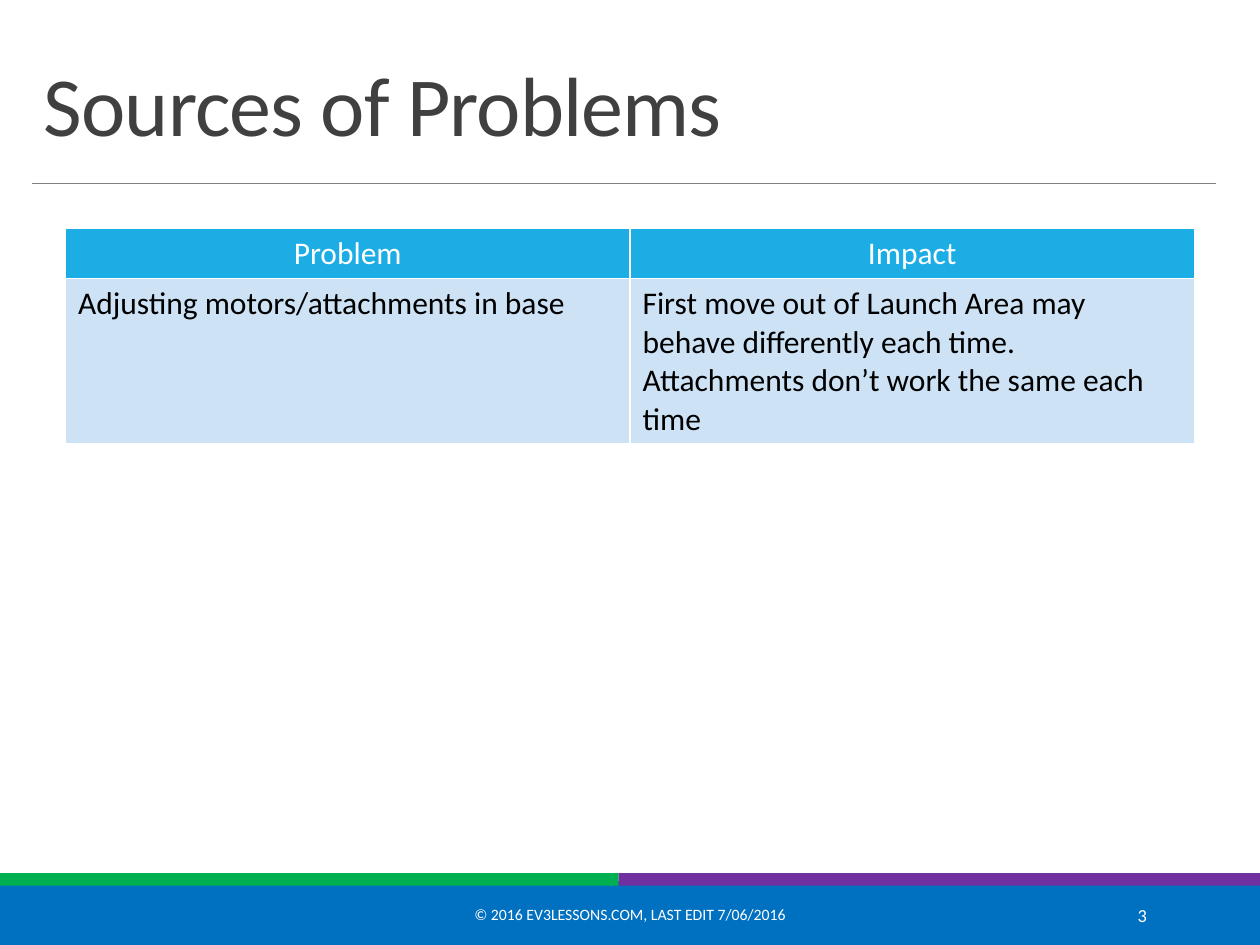
from lxml.etree import SubElement as Sub
from pptx import Presentation
from pptx.dml.color import RGBColor as RGB
from pptx.enum.shapes import MSO_CONNECTOR as Conn, MSO_SHAPE as Shape
from pptx.enum.text import MSO_ANCHOR as Anchor, PP_ALIGN as Align
from pptx.oxml.ns import qn
from pptx.util import Inches, Pt

FONT = "Calibri"
COLORS = {
    "blue": "0070C0", "green": "00B050", "purple": "7030A0",
    "rule": "808080", "title": "404040", "head": "1CADE4",
    "body": "CDE3F5", "white": "FFFFFF", "black": "000000",
}
ROWS = [
    ("Problem", "Impact"),
    ("Adjusting motors/attachments in base",
     "First move out of Launch Area may behave differently each time.\n"
     "Attachments don’t work the same each time"),
]


def color(name):
    return RGB.from_string(COLORS[name])


def write(frame, text, size=18, tint="black", align=Align.LEFT,
          lead=None, track=None):
    frame.word_wrap = True
    frame.text = text
    for para in frame.paragraphs:
        para.alignment = align
        if lead:
            para.line_spacing = lead
        for run in para.runs:
            font = run.font
            font.name, font.size = FONT, Pt(size)
            font.color.rgb = color(tint)
            if track:
                font._element.set("spc", str(int(track * 100)))


def add_text(slide, box, text, anchor=Anchor.MIDDLE, **style):
    frame = slide.shapes.add_textbox(*map(Inches, box)).text_frame
    frame.vertical_anchor = anchor
    write(frame, text, **style)


def add_bar(slide, box, tint, edge=False):
    bar = slide.shapes.add_shape(Shape.RECTANGLE, *map(Inches, box))
    bar.shadow.inherit = False
    bar.fill.solid()
    bar.fill.fore_color.rgb = color(tint)
    if edge:
        bar.line.color.rgb = color(tint)
        bar.line.width = Pt(1.25)
    else:
        bar.line.fill.background()


def add_rule(slide, left, right, top):
    ends = map(Inches, (left, top, right, top))
    rule = slide.shapes.add_connector(Conn.STRAIGHT, *ends)
    rule.line.color.rgb = color("rule")
    rule.line.width = Pt(0.5)
    Sub(rule._element.spPr, qn("a:effectLst"))


def add_edges(cell, tint, width):
    props = cell._tc.get_or_add_tcPr()
    for side in "LRTB":
        line = Sub(props, qn(f"a:ln{side}"), w=str(Pt(width)))
        fill = Sub(line, qn("a:solidFill"))
        Sub(fill, qn("a:srgbClr"), val=COLORS[tint])


def add_grid(slide, box, rows, heights):
    table = slide.shapes.add_table(
        len(rows), len(rows[0]), *map(Inches, box)).table
    for r, row in enumerate(rows):
        table.rows[r].height = Inches(heights[r])
        fill, tint, align = (("body", "black", Align.LEFT) if r
                             else ("head", "white", Align.CENTER))
        for c, text in enumerate(row):
            cell = table.cell(r, c)
            add_edges(cell, "white", 1)
            cell.fill.solid()
            cell.fill.fore_color.rgb = color(fill)
            write(cell.text_frame, text, tint=tint, align=align)


def main():
    deck = Presentation()
    deck.slide_width, deck.slide_height = Inches(10), Inches(7.5)
    slide = deck.slides.add_slide(deck.slide_layouts[6])

    split = 4.91
    add_bar(slide, (0, 7, 10, 0.5), "blue", edge=True)
    add_bar(slide, (0, 6.93, split, 0.1), "green")
    add_rule(slide, 0.25, 9.65, 1.46)
    add_bar(slide, (split, 6.93, 10 - split, 0.1), "purple")

    add_text(slide, (0.25, 0.31, 9.4, 0.96), "Sources of Problems",
             anchor=Anchor.BOTTOM, size=48, tint="title", lead=0.85,
             track=-0.5)
    add_grid(slide, (0.52, 1.81, 8.96, 1.71), ROWS, (0.4, 1.31))
    add_text(slide, (3.02, 7.06, 3.96, 0.4),
             "© 2016 EV3LESSONS.COM, LAST EDIT 7/06/2016",
             size=9, tint="white", align=Align.CENTER)
    add_text(slide, (8.12, 7.06, 1.08, 0.4), "3",
             size=10.5, tint="white", align=Align.RIGHT)
    deck.save("out.pptx")


if __name__ == "__main__":
    main()
